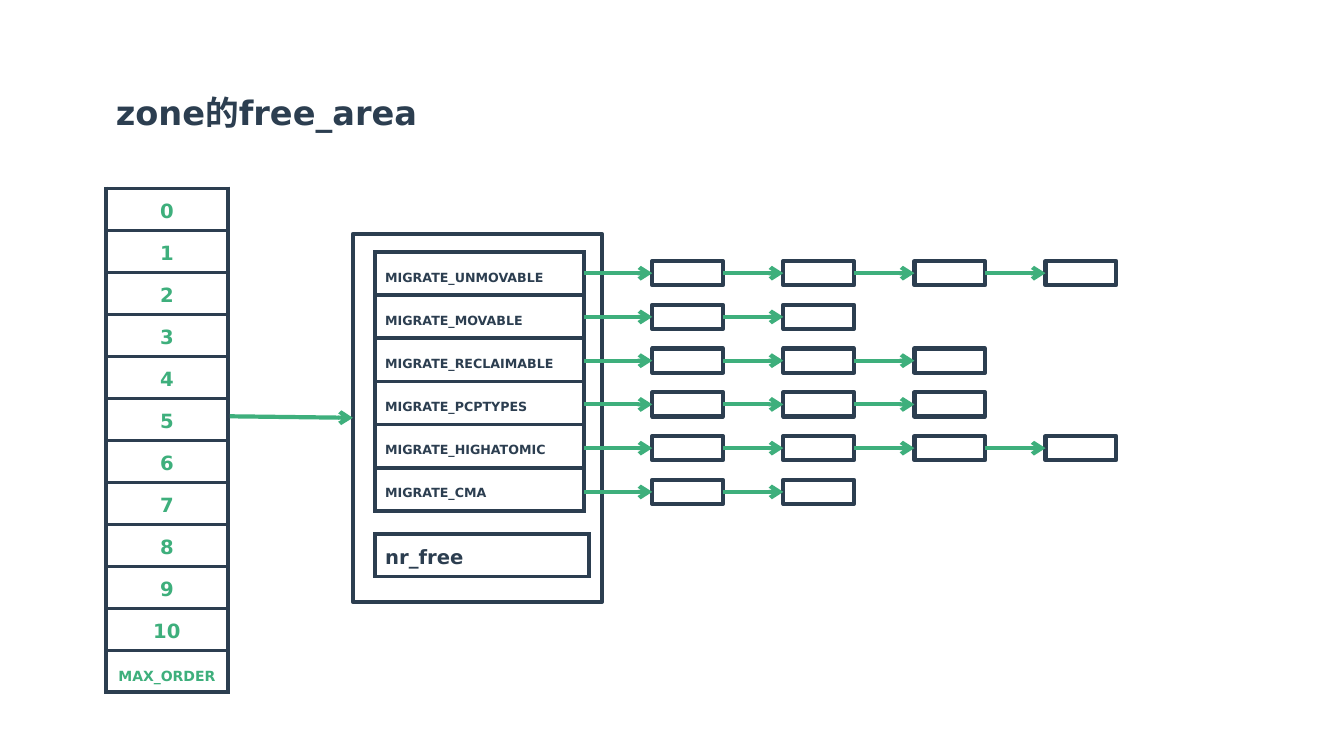
from dataclasses import dataclass

from lxml.etree import SubElement
from pptx import Presentation
from pptx.dml.color import RGBColor
from pptx.enum.shapes import MSO_CONNECTOR, MSO_SHAPE
from pptx.enum.text import MSO_AUTO_SIZE, PP_ALIGN
from pptx.oxml import parse_xml
from pptx.oxml.ns import nsdecls, qn
from pptx.util import Inches, Pt

LEFT, RIGHT = 1, 3


@dataclass(frozen=True)
class Theme:
    font: str = "DejaVu Sans"
    ink: str = "2C3E50"
    accent: str = "3EAF7C"
    stroke: float = 3
    title: float = 24
    label: float = 14
    order_limit: float = 10
    migrate_type: float = 9


def grid(count):
    """Turn a count of grid columns or rows, ten to the inch, into a length."""
    return Inches(count / 10)


class Diagram:
    def __init__(self, page, theme):
        self.page = page
        self.theme = theme

    def add_span(self, para, text, size, color):
        span = para.add_run()
        span.text = text
        span.font.name = self.theme.font
        span.font.size = Pt(size)
        span.font.bold = True
        span.font.color.rgb = RGBColor.from_string(color)

    def title(self, text, left, top, width, height):
        box = self.page.shapes.add_textbox(*map(grid, (left, top, width, height)))
        box.text_frame.word_wrap = True
        box.text_frame.auto_size = MSO_AUTO_SIZE.SHAPE_TO_FIT_TEXT
        self.add_span(box.text_frame.paragraphs[0], text, self.theme.title, self.theme.ink)

    def border(self, cell):
        cell.fill.background()
        properties = cell._tc.get_or_add_tcPr()
        for position, side in enumerate(("lnL", "lnR", "lnT", "lnB")):
            properties.insert(position, parse_xml(
                f'<a:{side} {nsdecls("a")} w="{Pt(self.theme.stroke)}"><a:solidFill>'
                f'<a:srgbClr val="{self.theme.ink}"/></a:solidFill></a:{side}>'))

    def column_table(self, entries, left, top, width, height, color, align=PP_ALIGN.LEFT):
        """Draw one column of cells; entries are (text, size, line spacing)."""
        table = self.page.shapes.add_table(
            len(entries), 1, *map(grid, (left, top, width, height))).table
        table.first_row = table.horz_banding = False
        for index, (text, size, spacing) in enumerate(entries):
            cell = table.cell(index, 0)
            self.border(cell)
            para = cell.text_frame.paragraphs[0]
            para.alignment = align
            para.line_spacing = spacing
            self.add_span(para, text, size, color)

    def outline(self, left, top, width, height, shapes=None):
        shapes = self.page.shapes if shapes is None else shapes
        box = shapes.add_shape(MSO_SHAPE.RECTANGLE, *map(grid, (left, top, width, height)))
        box.shadow.inherit = False
        box.fill.background()
        box.line.color.rgb = RGBColor.from_string(self.theme.ink)
        box.line.width = Pt(self.theme.stroke)
        return box

    def arrow(self, start, target, shapes=None):
        """Point at the left side of target from a box or an (x, y) grid point."""
        shapes = self.page.shapes if shapes is None else shapes
        from_point = isinstance(start, tuple)
        x, y = map(grid, start) if from_point else (0, 0)
        line = shapes.add_connector(MSO_CONNECTOR.STRAIGHT, x, y, x, y)
        if not from_point:
            line.begin_connect(start, RIGHT)
        line.end_connect(target, LEFT)
        line.line.color.rgb = RGBColor.from_string(self.theme.accent)
        line.line.width = Pt(self.theme.stroke)
        SubElement(line.line._get_or_add_ln(), qn("a:tailEnd"), type="arrow")
        SubElement(line._element.spPr, qn("a:effectLst"))

    def chain(self, length, left, top, width, height, pitch):
        """Draw a linked list of boxes and return the first one."""
        shapes = self.page.shapes.add_group_shape().shapes
        boxes = [self.outline(left + pitch * index, top, width, height, shapes)
                 for index in range(length)]
        for start, target in zip(boxes, boxes[1:]):
            self.arrow(start, target, shapes)
        return boxes[0]


def main():
    deck = Presentation()
    deck.slide_width, deck.slide_height = Inches(13.33), Inches(7.5)
    theme = Theme()
    diagram = Diagram(deck.slides.add_slide(deck.slide_layouts[6]), theme)

    orders = [(str(order), theme.label, 1.3) for order in range(11)]
    orders.append(("MAX_ORDER", theme.order_limit, 1.8))
    diagram.column_table(orders, 10.5, 18.7, 12.1, 50, theme.accent, PP_ALIGN.CENTER)

    free_lists = {"UNMOVABLE": 4, "MOVABLE": 2, "RECLAIMABLE": 3,
                  "PCPTYPES": 3, "HIGHATOMIC": 4, "CMA": 2}
    migrate_types = [(f"MIGRATE_{name}", theme.migrate_type, 1.9) for name in free_lists]
    diagram.column_table(migrate_types, 37.2, 25, 20.7, 25.7, theme.ink)
    diagram.column_table([("nr_free", theme.label, 1.3)], 37.2, 53, 21.2, 4.2, theme.ink)

    free_area = diagram.outline(35, 23.2, 24.7, 36.5)
    diagram.arrow((22.8, 41.3), free_area)

    block_height = 2.4
    for row, length in enumerate(free_lists.values()):
        top = 25.9 + 4.34 * row
        first_block = diagram.chain(length, 64.7, top, 7, block_height, 13)
        diagram.arrow((57.9, top + block_height / 2), first_block)

    diagram.title("zone的free_area", 10.5, 8.6, 31.9, 5)
    deck.save("out.pptx")


if __name__ == "__main__":
    main()
